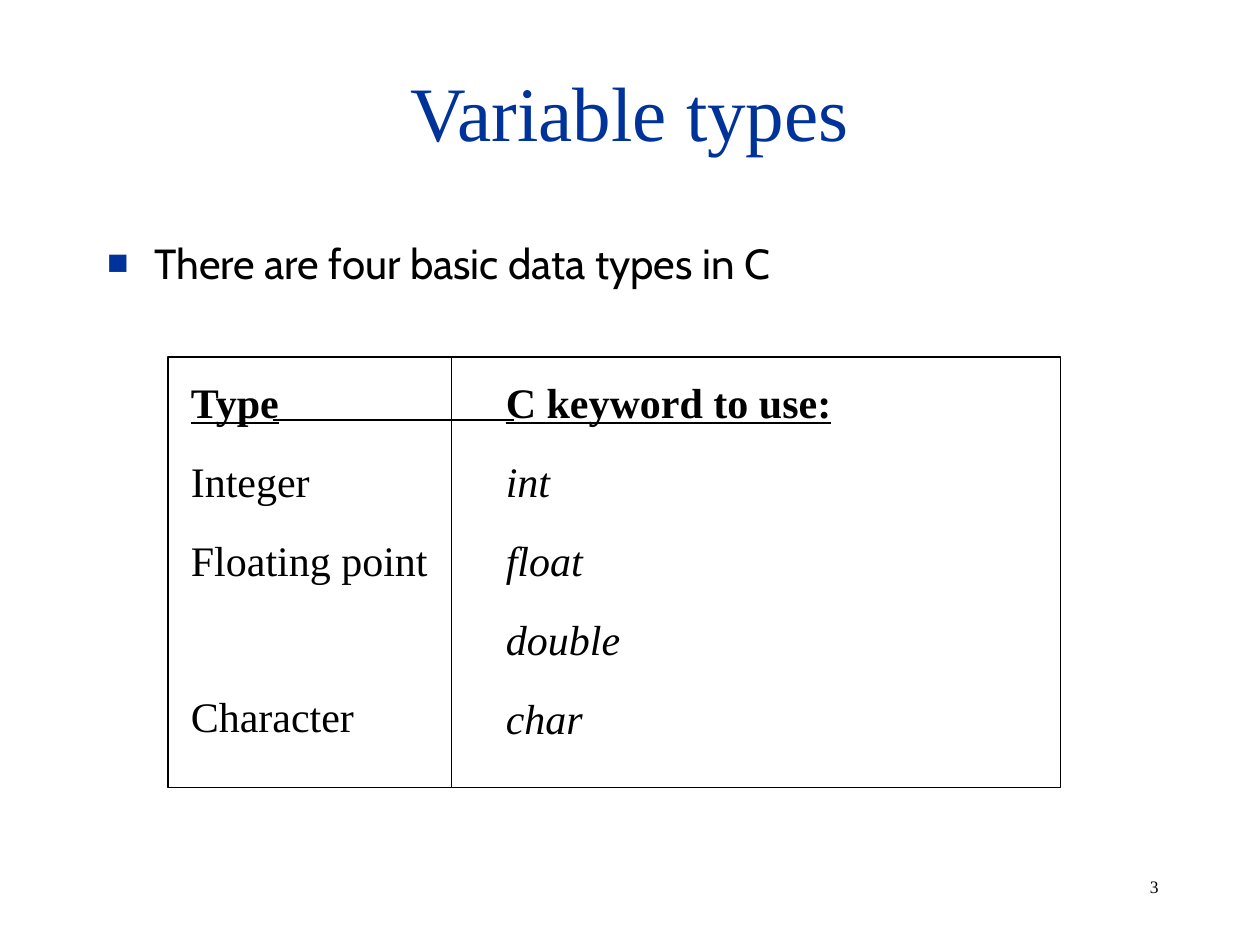
from lxml.etree import SubElement
from pptx import Presentation
from pptx.dml.color import RGBColor
from pptx.enum.shapes import MSO_CONNECTOR, MSO_SHAPE
from pptx.enum.text import MSO_ANCHOR, MSO_AUTO_SIZE, PP_ALIGN
from pptx.oxml.ns import qn
from pptx.util import Pt

BLACK = RGBColor(0x00, 0x00, 0x00)
BLUE = RGBColor(0x00, 0x33, 0x99)
SERIF = "Times New Roman"
SANS = "Cabin"
TYPES = ["Type", "Integer", "Floating point", "Character"]
WORDS = ["C keyword to use:", "int", "float", "double", "char"]
GAP = 15
LINE = 29


def place(shape, left, top, width, height):
    shape.left, shape.top = Pt(left), Pt(top)
    shape.width, shape.height = Pt(width), Pt(height)


def style(para, size, name=SERIF, color=BLACK):
    for run in para.runs:
        font = run.font
        font.size, font.name = Pt(size), name
        font.color.rgb = color


def add_title(slide, left, top, width, height):
    title = slide.shapes.title
    place(title, left, top, width, height)
    frame = title.text_frame
    frame.text = "Variable types"
    frame.vertical_anchor = MSO_ANCHOR.MIDDLE
    frame.auto_size = MSO_AUTO_SIZE.NONE
    para = frame.paragraphs[0]
    para.alignment = PP_ALIGN.CENTER
    style(para, 44, color=BLUE)


def add_bullet(para):
    props = para._p.get_or_add_pPr()
    props.set("marL", str(Pt(27)))
    props.set("indent", str(Pt(-27)))
    color = SubElement(props, qn("a:buClr"))
    SubElement(color, qn("a:srgbClr"), val=str(BLUE))
    SubElement(props, qn("a:buSzPct"), val="85000")
    SubElement(props, qn("a:buFont"), typeface=SERIF)
    SubElement(props, qn("a:buChar"), char="■")


def add_body(slide, left, top, width, height):
    body = slide.placeholders[1]
    place(body, left, top, width, height)
    frame = body.text_frame
    frame.text = "There are four basic data types in C"
    frame.auto_size = MSO_AUTO_SIZE.NONE
    para = frame.paragraphs[0]
    add_bullet(para)
    para.space_before = Pt(0)
    style(para, 24, SANS)


def add_list(slide, left, top, width, height, items, italic):
    box = slide.shapes.add_textbox(Pt(left), Pt(top), Pt(width), Pt(height))
    frame = box.text_frame
    frame.word_wrap = True
    frame.text = "\n".join(items)
    for row, para in enumerate(frame.paragraphs):
        para.line_spacing = 1.05
        para.space_before = Pt(GAP if row else 0)
        style(para, 24)
        font = para.runs[0].font
        font.bold = font.underline = row == 0
        font.italic = italic and row > 0
    return frame


def add_rule(slide, x1, y1, x2, y2):
    rule = slide.shapes.add_connector(
        MSO_CONNECTOR.STRAIGHT, Pt(x1), Pt(y1), Pt(x2), Pt(y2))
    rule.line.color.rgb = BLACK
    rule.line.width = Pt(0.75)
    SubElement(rule._element.spPr, qn("a:effectLst"))


def add_grid(slide, left, top, width, height):
    frame = slide.shapes.add_shape(
        MSO_SHAPE.RECTANGLE, Pt(left), Pt(top), Pt(width), Pt(height))
    frame.shadow.inherit = False
    frame.fill.background()
    frame.line.color.rgb = BLACK
    frame.line.width = Pt(0.75)
    names = add_list(slide, left + 6, top + 6, 234, 212, TYPES, False)
    names.paragraphs[-1].space_before = Pt(2 * GAP + LINE)
    add_list(slide, left + 186, top + 6, 246, 212, WORDS, True)
    add_rule(slide, left + 162, top, left + 162, top + height)
    add_rule(slide, left + 60, top + 36, left + 198, top + 36)


def add_number(slide, left, top, width, height):
    box = slide.shapes.add_textbox(Pt(left), Pt(top), Pt(width), Pt(height))
    frame = box.text_frame
    frame.word_wrap = True
    frame.text = "3"
    style(frame.paragraphs[0], 10)


def main():
    deck = Presentation()
    deck.slide_width, deck.slide_height = Pt(720), Pt(540)
    slide = deck.slides.add_slide(deck.slide_layouts[1])
    add_number(slide, 650, 497, 56, 19)
    add_title(slide, 54, 18, 612, 90)
    add_body(slide, 54, 132, 612, 48)
    add_grid(slide, 96, 204, 510, 246)
    deck.save("out.pptx")


if __name__ == "__main__":
    main()
